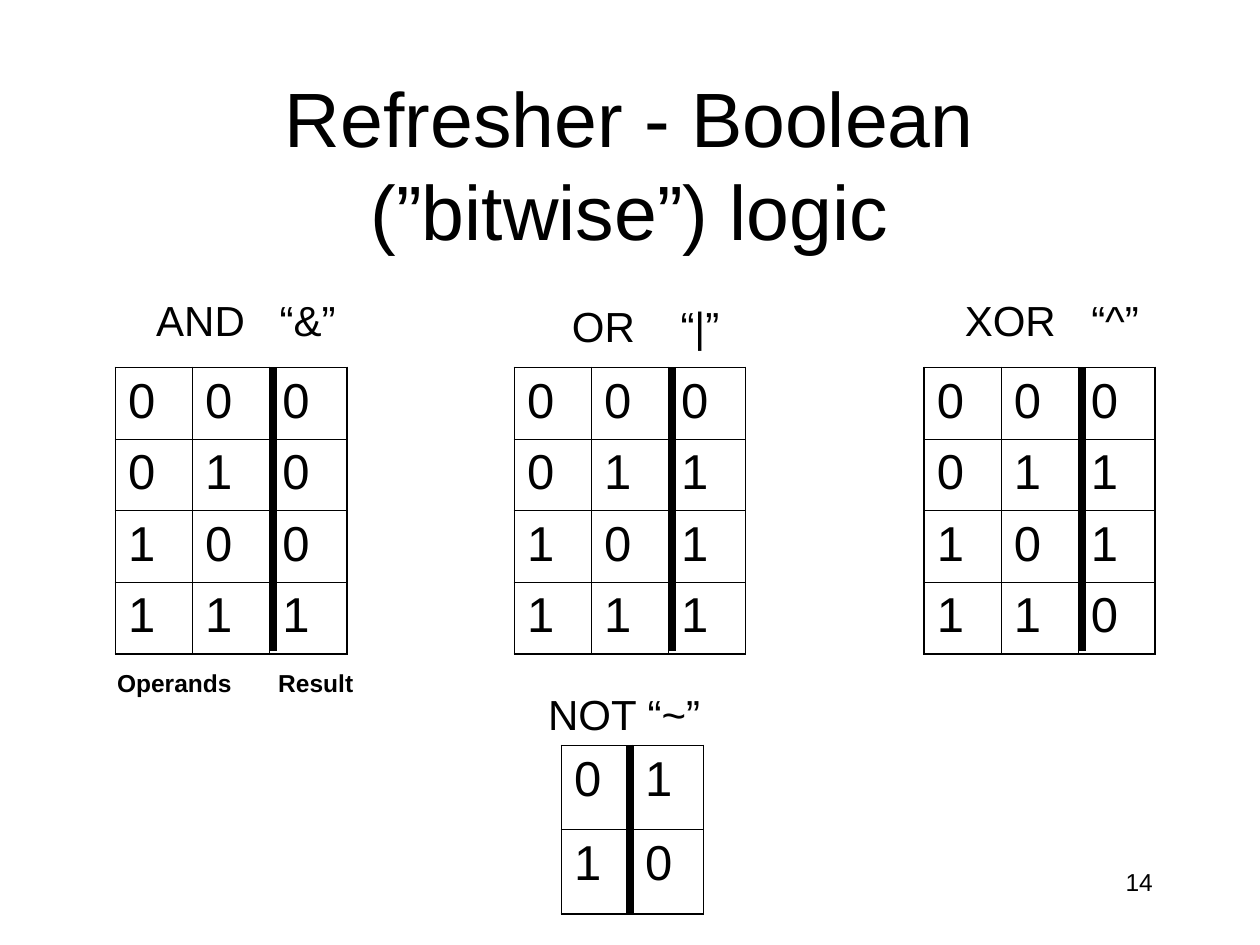
from dataclasses import dataclass
from itertools import product

from lxml.etree import SubElement
from pptx import Presentation
from pptx.dml.color import RGBColor
from pptx.enum.shapes import MSO_CONNECTOR
from pptx.enum.text import MSO_ANCHOR, MSO_AUTO_SIZE, PP_ALIGN
from pptx.oxml.ns import qn
from pptx.util import Cm, Pt


@dataclass(frozen=True)
class Theme:
    font: str = "Arial"
    ink: str = "000000"
    paper: str = "FFFFFF"
    title: float = 44
    digit: float = 28
    heading: float = 24
    small: float = 14
    outer_border: float = 1.08
    inner_border: float = 0.45
    divider: float = 4.5


class SlideBuilder:
    def __init__(self, page, theme):
        self.page = page
        self.theme = theme
        page.background.fill.solid()
        page.background.fill.fore_color.rgb = RGBColor.from_string(theme.paper)

    def format(self, para, size, bold=False, align=PP_ALIGN.LEFT, before=0):
        para.alignment = align
        para.space_before = Pt(before)
        for span in para.runs:
            span.font.name = self.theme.font
            span.font.size = Pt(size)
            span.font.bold = bold
            span.font.color.rgb = RGBColor.from_string(self.theme.ink)

    def title(self, text, left, top, width, height):
        box = self.page.shapes.title
        box.left, box.top, box.width, box.height = map(Cm, (left, top, width, height))
        frame = box.text_frame
        frame.text = text
        frame.word_wrap = True
        frame.auto_size = MSO_AUTO_SIZE.NONE
        frame.vertical_anchor = MSO_ANCHOR.MIDDLE
        self.format(frame.paragraphs[0], self.theme.title, align=PP_ALIGN.CENTER)

    def text(self, text, left, top, width, height, size, tab=None, **style):
        box = self.page.shapes.add_textbox(*map(Cm, (left, top, width, height)))
        frame = box.text_frame
        frame.word_wrap = True
        if tab:
            frame.margin_right = 0
        para = frame.paragraphs[0]
        para.text = text
        self.format(para, size, **style)
        if tab:
            stops = SubElement(para._p.get_or_add_pPr(), qn("a:tabLst"))
            SubElement(stops, qn("a:tab"), pos=str(Cm(tab)), algn="l")

    def border(self, cell, side, width):
        line = SubElement(cell._tc.get_or_add_tcPr(), qn(f"a:ln{side}"), w=str(Pt(width)))
        fill = SubElement(line, qn("a:solidFill"))
        SubElement(fill, qn("a:srgbClr"), val=self.theme.ink)

    def table(self, rows, left, top, width, height):
        row_count, column_count = len(rows), len(rows[0])
        frame = self.page.shapes.add_table(
            row_count, column_count, *map(Cm, (left, top, width, height))
        )
        table = frame.table
        table.first_row = table.horz_banding = False
        for row, column in product(range(row_count), range(column_count)):
            cell = table.cell(row, column)
            outer_sides = {
                "L": column == 0,
                "R": column == column_count - 1,
                "T": row == 0,
                "B": row == row_count - 1,
            }
            for side, is_outer in outer_sides.items():
                self.border(
                    cell, side,
                    self.theme.outer_border if is_outer else self.theme.inner_border,
                )
            cell.fill.background()
            para = cell.text_frame.paragraphs[0]
            para.text = str(rows[row][column])
            self.format(para, self.theme.digit, before=7)

    def divider(self, x, top, length):
        line = self.page.shapes.add_connector(
            MSO_CONNECTOR.STRAIGHT, Cm(x), Cm(top), Cm(x), Cm(top + length)
        )
        line.line.width = Pt(self.theme.divider)
        line.line.color.rgb = RGBColor.from_string(self.theme.ink)
        SubElement(line._element.spPr, qn("a:effectLst"))


def main():
    deck = Presentation()
    deck.slide_width, deck.slide_height = Cm(25.4), Cm(19.05)
    theme = Theme()
    builder = SlideBuilder(deck.slides.add_slide(deck.slide_layouts[5]), theme)

    builder.title("Refresher - Boolean (”bitwise”) logic", 1.9, 1.7, 21.59, 3.18)

    gates = [
        ("AND\t“&”", lambda a, b: a & b, 2.33, 2.9, 5.82, 2.49),
        ("OR\t“|”", lambda a, b: a | b, 10.37, 11.28, 5.93, 2.19),
        ("XOR\t“^”", lambda a, b: a ^ b, 18.63, 19.2, 5.82, 2.55),
    ]
    table_top = 7.41
    for heading, operation, left, heading_left, heading_top, tab in gates:
        rows = [(a, b, operation(a, b)) for a, b in product((0, 1), repeat=2)]
        builder.table(rows, left, table_top, 4.66, 5.77)
        builder.divider(left + 3.18, table_top, 5.72)
        builder.text(heading, heading_left, heading_top, 4.11, 1.27, theme.heading, tab=tab)

    not_left, not_top, not_height = 11.32, 15.03, 3.39
    builder.table([(a, 1 - a) for a in (0, 1)], not_left, not_top, 2.86, not_height)
    builder.divider(not_left + 1.38, not_top, not_height)
    builder.text("NOT “~”", 10.8, 13.76, 3.58, 1.27, theme.heading)

    for caption, left in (("Operands", 2.11), ("Result", 5.36)):
        builder.text(caption, left, 13.34, 2.9, 0.86, theme.small, bold=True, before=8.8)
    builder.text("14", 18.21, 17.35, 5.28, 1.27, theme.small, align=PP_ALIGN.RIGHT)

    deck.save("out.pptx")


if __name__ == "__main__":
    main()
